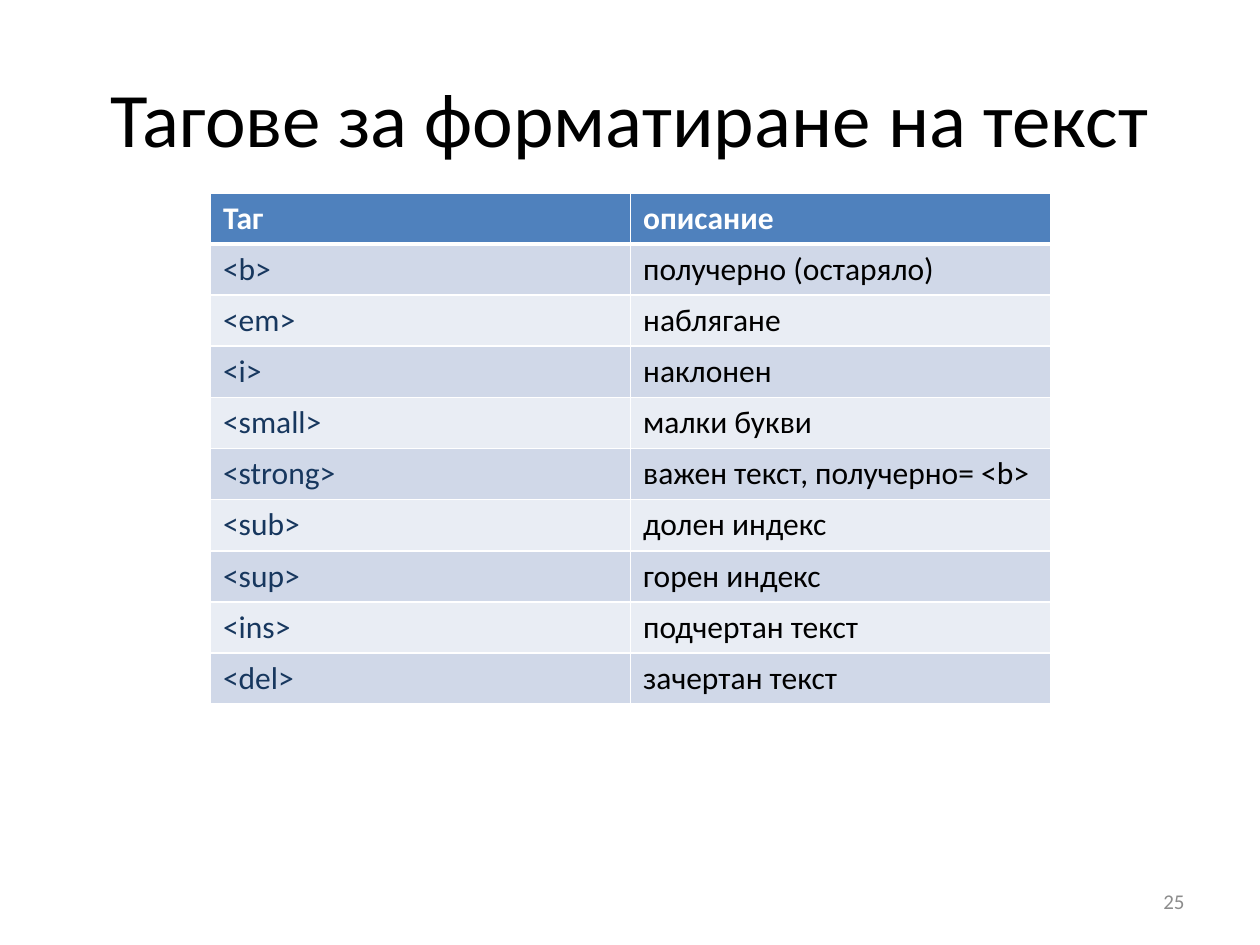
from lxml.etree import SubElement
from pptx import Presentation
from pptx.dml.color import RGBColor
from pptx.enum.text import MSO_ANCHOR, PP_ALIGN
from pptx.oxml.ns import qn
from pptx.util import Inches, Pt

TAG_ROWS = [
    ("<b>", "получерно (остаряло)"),
    ("<em>", "наблягане"),
    ("<i>", "наклонен"),
    ("<small>", "малки букви"),
    ("<strong>", "важен текст, получерно= <b>"),
    ("<sub>", "долен индекс"),
    ("<sup>", "горен индекс"),
    ("<ins>", "подчертан текст"),
    ("<del>", "зачертан текст"),
]


def hex_color(value):
    return RGBColor.from_string(value)


def write_text(frame, text, size=18, color="000000", bold=False, align=PP_ALIGN.LEFT):
    paragraph = frame.paragraphs[0]
    paragraph.alignment = align
    run = paragraph.add_run()
    run.text = text
    run.font.name = "Calibri"
    run.font.size = Pt(size)
    run.font.bold = bold
    run.font.color.rgb = hex_color(color)


class SlideBuilder:
    """Draw styled text and tables on the current slide."""

    header_fill = "4F81BD"
    band_fills = ("D0D8E8", "E9EDF4")
    tag_color = "17375E"
    border_color = "FFFFFF"

    def __init__(self, slide):
        self.slide = slide

    def text(self, text, left, top, width, height, **style):
        box = self.slide.shapes.add_textbox(
            Inches(left), Inches(top), Inches(width), Inches(height))
        box.text_frame.word_wrap = True
        box.text_frame.vertical_anchor = MSO_ANCHOR.MIDDLE
        write_text(box.text_frame, text, **style)

    def borders(self, cell, **widths):
        properties = cell._tc.get_or_add_tcPr()
        for side in "LRTB":
            line = SubElement(properties, qn(f"a:ln{side}"), w=str(Pt(widths.get(side, 1))))
            fill = SubElement(line, qn("a:solidFill"))
            SubElement(fill, qn("a:srgbClr"), val=self.border_color)

    def cell(self, cell, text, fill, borders, **style):
        self.borders(cell, **borders)
        cell.fill.solid()
        cell.fill.fore_color.rgb = hex_color(fill)
        write_text(cell.text_frame, text, **style)

    def table(self, header, rows, left, top, width, height):
        table = self.slide.shapes.add_table(
            len(rows) + 1, len(header),
            Inches(left), Inches(top), Inches(width), Inches(height)).table
        for column, label in enumerate(header):
            self.cell(table.cell(0, column), label, self.header_fill, {"B": 3},
                      color="FFFFFF", bold=True)
        for row, labels in enumerate(rows, start=1):
            borders = {"T": 3} if row == 1 else {}
            for column, label in enumerate(labels):
                self.cell(table.cell(row, column), label, self.band_fills[(row - 1) % 2],
                          borders, color="000000" if column else self.tag_color)


def main():
    presentation = Presentation()
    presentation.slide_width = Inches(10)
    presentation.slide_height = Inches(7.5)
    builder = SlideBuilder(presentation.slides.add_slide(presentation.slide_layouts[6]))
    builder.text("Тагове за форматиране на текст", 0.5, 0.3, 9, 1.25,
                 size=44, align=PP_ALIGN.CENTER)
    builder.table(("Таг", "описание"), TAG_ROWS, 1.67, 1.53, 6.67, 4.06)
    builder.text("25", 7.17, 6.95, 2.33, 0.4, size=12, color="8C8C8C", align=PP_ALIGN.RIGHT)
    presentation.save("out.pptx")


if __name__ == "__main__":
    main()
